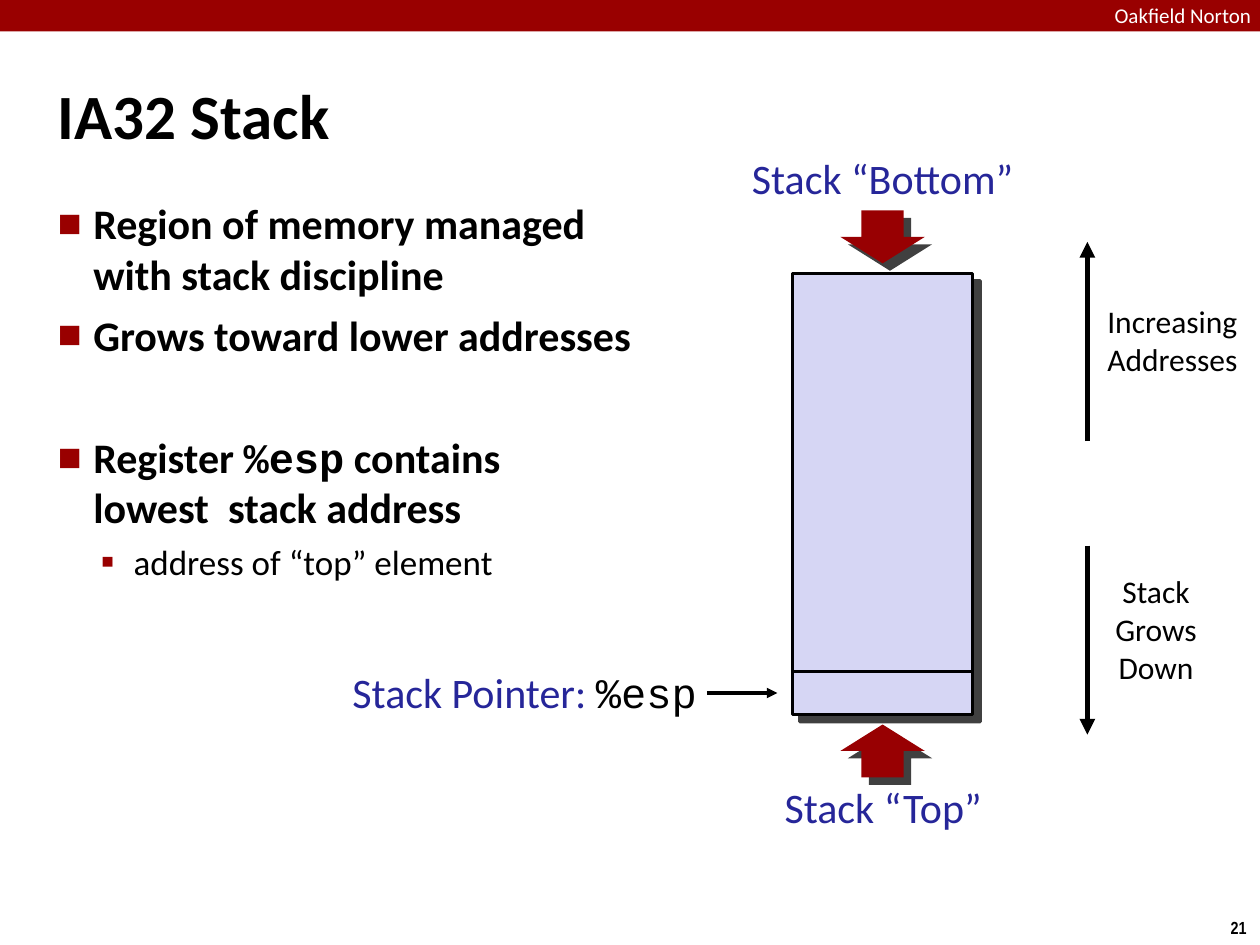
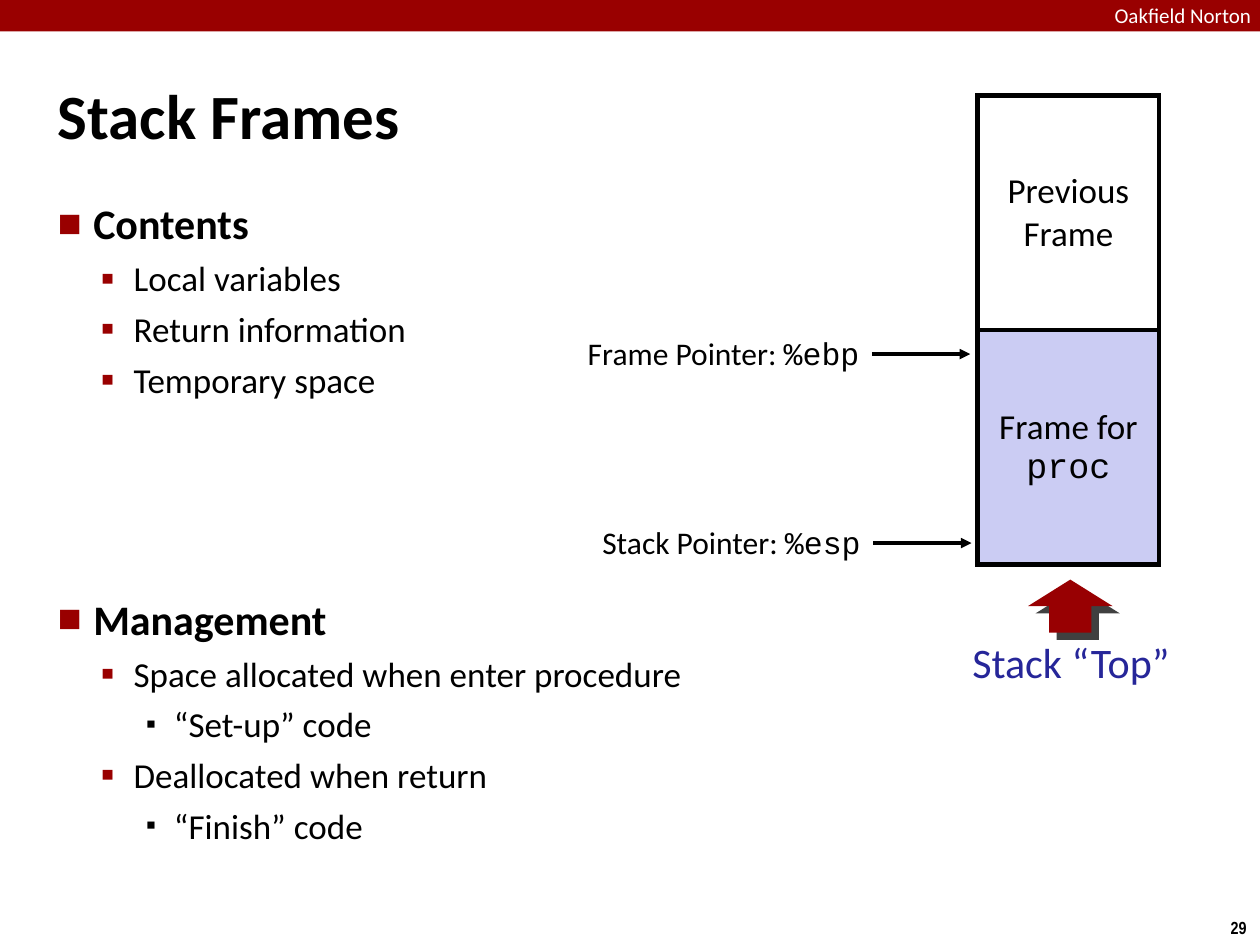
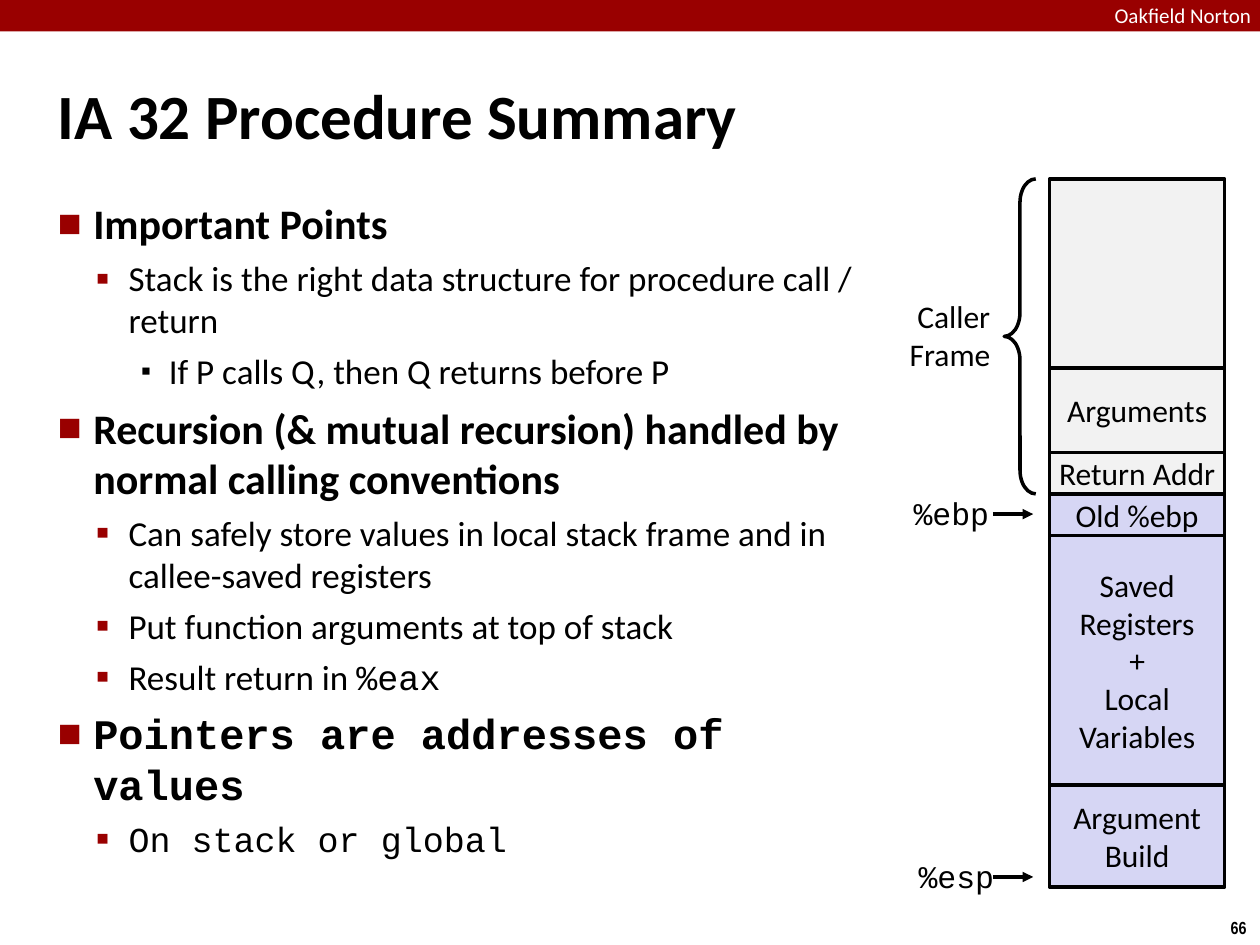
from lxml import etree
from pptx import Presentation
from pptx import util as u
from pptx.dml import color
from pptx.enum import shapes, text
from pptx.oxml import ns

COLORS = {
    "band": "990000", "arrow": "980002", "black": "000000", "white": "FFFFFF",
    "navy": "262699", "lavender": "D6D6F4", "frame": "CBCCF3", "gray": "F2F2F2",
}
FONT, MONO, NARROW = "Calibri", "Courier New", "Arial Narrow"
ALIGN = {"left": text.PP_ALIGN.LEFT, "center": text.PP_ALIGN.CENTER,
         "right": text.PP_ALIGN.RIGHT}
LEVELS = [
    {"left": 0.28, "hang": 0.28, "before": 6, "char": "■", "color": "band", "scale": 60, "size": 24},
    {"left": 0.6, "hang": 0.26, "before": 5, "char": "▪", "color": "band", "scale": 110, "size": 20},
    {"left": 0.92, "hang": 0.22, "before": 5, "char": "▪", "color": "black", "scale": 80, "size": 20},
]


def rgb(name):
    """Return the named colour."""
    return color.RGBColor.from_string(COLORS[name])


def add_xml(parent, tag, **attributes):
    """Append a DrawingML element to a parent and return it."""
    return etree.SubElement(parent, ns.qn(f"a:{tag}"), attributes)


def write_line(paragraph, content, size=18, font=FONT, fill="black", mono_fill=None,
               bold=False, align="left"):
    """Write one paragraph, with backticks around monospaced parts."""
    paragraph.alignment = ALIGN[align]
    for index, part in enumerate(content.split("`")):
        is_mono = index % 2 == 1
        for row, piece in enumerate(part.split("\n")):
            if row:
                paragraph.add_line_break()
            if not piece:
                continue
            run = paragraph.add_run()
            run.text = piece
            run.font.name = MONO if is_mono else font
            run.font.size = u.Pt(size)
            run.font.bold = bold
            run.font.color.rgb = rgb(mono_fill if is_mono and mono_fill else fill)


def write_text(frame, lines, margin=0.04, anchor="TOP", wrap=True, **style):
    """Fill a text frame with paragraphs of one style."""
    frame.word_wrap = wrap
    frame.vertical_anchor = getattr(text.MSO_ANCHOR, anchor)
    frame.margin_left = frame.margin_right = u.Inches(margin)
    frame.margin_top = frame.margin_bottom = u.Inches(margin)
    for index, line in enumerate(lines):
        paragraph = frame.add_paragraph() if index else frame.paragraphs[0]
        write_line(paragraph, line, **style)


def add_text(slide, box, *lines, **style):
    """Add a text box."""
    shape = slide.shapes.add_textbox(*map(u.Inches, box))
    write_text(shape.text_frame, lines, **style)
    return shape


def add_bullets(slide, width, items, shift=0):
    """Add the bulleted body from (level, text[, space before]) items."""
    frame = add_text(slide, (0.42, 1.53, width, 5.72)).text_frame
    for index, (level, content, *before) in enumerate(items):
        look = LEVELS[level]
        paragraph = frame.add_paragraph() if index else frame.paragraphs[0]
        paragraph.level = level
        paragraph.space_before = u.Pt(before[0] if before else look["before"])
        write_line(paragraph, content, size=look["size"], bold=level == 0)
        properties = paragraph._p.get_or_add_pPr()
        left = look["left"] + (shift if level else 0)
        properties.set("marL", str(u.Inches(left)))
        properties.set("indent", str(-u.Inches(look["hang"])))
        add_xml(add_xml(properties, "buClr"), "srgbClr", val=COLORS[look["color"]])
        add_xml(properties, "buSzPct", val=str(look["scale"] * 1000))
        add_xml(properties, "buFont", typeface=FONT)
        add_xml(properties, "buChar", char=look["char"])


def add_shape(slide, kind, box, fill=None, line=None, shadow=False):
    """Add a preset shape with an optional fill, outline and hard shadow."""
    shape = slide.shapes.add_shape(getattr(shapes.MSO_SHAPE, kind), *map(u.Inches, box))
    shape.shadow.inherit = False
    if fill:
        shape.fill.solid()
        shape.fill.fore_color.rgb = rgb(fill)
    else:
        shape.fill.background()
    if line:
        shape.line.color.rgb = rgb("black")
        shape.line.width = u.Pt(line)
    else:
        shape.line.fill.background()
    if shadow:
        effects = shape._element.spPr.find(ns.qn("a:effectLst"))
        outer = add_xml(effects, "outerShdw", blurRad="0", dist=str(u.Pt(6)),
                        dir=str(45 * 60000), algn="ctr", rotWithShape="0")
        add_xml(add_xml(outer, "srgbClr", val=COLORS["black"]), "alpha", val="75000")
    return shape


def add_line(slide, start, end, width=2, arrow=True):
    """Add a straight black line, with an arrowhead at its end if wanted."""
    connector = slide.shapes.add_connector(
        shapes.MSO_CONNECTOR.STRAIGHT, *map(u.Inches, start + end))
    connector.line.color.rgb = rgb("black")
    connector.line.width = u.Pt(width)
    if arrow:
        add_xml(connector.line._get_or_add_ln(), "tailEnd", type="triangle")
    add_xml(connector._element.spPr, "effectLst")


def add_block_arrow(slide, kind, left, top):
    """Add a red block arrow that marks an end of the stack."""
    add_shape(slide, kind, (left, top, 0.67, 0.42), fill="arrow", shadow=True)


def add_frames_table(slide, box, cells):
    """Add a one-column table of (text, fill) cells with black borders."""
    table = slide.shapes.add_table(len(cells), 1, *map(u.Inches, box)).table
    table.first_row = table.horz_banding = False
    for index, (content, fill) in enumerate(cells):
        cell = table.cell(index, 0)
        write_text(cell.text_frame, [content], size=20, align="center")
        cell.vertical_anchor = text.MSO_ANCHOR.MIDDLE
        cell.margin_left = cell.margin_right = u.Inches(0.06)
        cell.margin_top = cell.margin_bottom = u.Inches(0.06)
        properties = cell._tc.get_or_add_tcPr()
        for side in ("lnL", "lnR", "lnT", "lnB"):
            border = add_xml(properties, side, w=str(u.Pt(3)))
            add_xml(add_xml(border, "solidFill"), "srgbClr", val=COLORS["black"])
        cell.fill.solid()
        cell.fill.fore_color.rgb = rgb(fill)


def add_stack(slide, left, top, width, blocks):
    """Stack outlined blocks of (height, fill, lines) downwards."""
    for height, fill, lines in blocks:
        block = add_shape(slide, "RECTANGLE", (left, top, width, height), fill=fill, line=2)
        if lines:
            write_text(block.text_frame, lines, margin=0, anchor="MIDDLE", align="center")
        top += height


def start_slide(presentation, title, number):
    """Add a blank slide with the shared band, title and page number."""
    slide = presentation.slides.add_slide(presentation.slide_layouts[6])
    add_shape(slide, "RECTANGLE", (0, 0, 10, 0.25), fill="band")
    add_text(slide, (8.5, 0.02, 1.43, 0.19), "Oakfield Norton", size=12, fill="white",
             margin=0, align="right")
    add_text(slide, (0.42, 0.28, 9.17, 1.25), title, size=36, bold=True, anchor="MIDDLE")
    add_text(slide, (9.66, 7.23, 0.34, 0.27), str(number), size=10, font=NARROW,
             bold=True, margin=0.05, align="center", wrap=False)
    return slide


def build_stack_slide(presentation):
    """Build the slide on the stack region."""
    slide = start_slide(presentation, "IA32 Stack", 21)
    add_bullets(slide, 4.88, [
        (0, "Region of memory managed with stack discipline"),
        (0, "Grows toward lower addresses"),
        (0, "Register `%esp` contains \nlowest  stack address", 41),
        (1, "address of “top” element"),
    ])
    add_shape(slide, "RECTANGLE", (6.29, 2.17, 1.43, 3.5), fill="lavender", line=2, shadow=True)
    add_line(slide, (6.29, 5.33), (7.72, 5.33), arrow=False)
    add_line(slide, (5.61, 5.5), (6.17, 5.5))
    add_text(slide, (2.69, 5.25, 2.88, 0.5), "Stack Pointer: `%esp`", size=24, fill="navy",
             mono_fill="black", align="right", wrap=False)
    add_line(slide, (8.63, 3.5), (8.63, 1.92), width=3)
    add_text(slide, (8.74, 2.36, 1.13, 0.69), "Increasing", "Addresses",
             align="center", wrap=False)
    add_line(slide, (8.63, 4.33), (8.63, 5.83), width=3)
    add_text(slide, (8.73, 4.5, 0.89, 1), "Stack Grows", "Down", align="center")
    add_text(slide, (5.89, 1.17, 2.23, 0.49), "Stack “Bottom”", size=24, fill="navy",
             align="center", wrap=False)
    add_block_arrow(slide, "DOWN_ARROW", 6.67, 1.67)
    add_block_arrow(slide, "UP_ARROW", 6.67, 5.75)
    add_text(slide, (6.16, 6.16, 1.7, 0.49), "Stack “Top”", size=24, fill="navy",
             align="center", wrap=False)


def build_frames_slide(presentation):
    """Build the slide on stack frames."""
    slide = start_slide(presentation, "Stack Frames", 29)
    add_bullets(slide, 5.08, [
        (0, "Contents"),
        (1, "Local variables"),
        (1, "Return information"),
        (1, "Temporary space"),
        (0, "Management", 110),
        (1, "Space allocated when enter procedure"),
        (2, "“Set-up” code"),
        (1, "Deallocated when return"),
        (2, "“Finish” code"),
    ])
    for label, left, y in (("Frame Pointer: `%ebp`", 6.92, 2.81),
                           ("Stack Pointer: `%esp`", 6.93, 4.31)):
        add_line(slide, (left, y), (left + 0.78, y))
        add_text(slide, (left - 2.73, y - 0.2, 2.67, 0.4), label, align="right")
    add_frames_table(slide, (7.76, 0.76, 1.44, 3.72), [
        ("Previous Frame", "white"), ("Frame for\n`proc`", "frame")])
    add_block_arrow(slide, "UP_ARROW", 8.16, 4.6)
    add_text(slide, (7.65, 5.01, 1.7, 0.49), "Stack “Top”", size=24, fill="navy",
             align="center", wrap=False)


def build_summary_slide(presentation):
    """Build the procedure summary slide."""
    slide = start_slide(presentation, "IA 32 Procedure Summary", 66)
    add_bullets(slide, 6.42, [
        (0, "Important Points"),
        (1, "Stack is the right data structure for procedure call / return"),
        (2, "If P calls Q, then Q returns before P"),
        (0, "Recursion (& mutual recursion) handled by normal calling conventions"),
        (1, "Can safely store values in local stack frame and in callee-saved registers"),
        (1, "Put function arguments at top of stack"),
        (1, "Result return in `%eax`"),
        (0, "`Pointers are addresses of values`"),
        (1, "`On stack or global`"),
    ], shift=-0.04)
    add_stack(slide, 8.33, 1.42, 1.39, [
        (1.5, "gray", []),
        (0.67, "gray", ["Arguments"]),
        (0.33, "gray", ["Return Addr"]),
        (0.33, "lavender", ["Old %ebp"]),
        (1.98, "lavender", ["Saved", "Registers", "+", "Local", "Variables"]),
        (0.81, "lavender", ["Argument", "Build"]),
    ])
    add_text(slide, (7.15, 2.32, 0.75, 0.69), "Caller", "Frame", align="right", wrap=False)
    brace = add_shape(slide, "LEFT_BRACE", (7.97, 1.42, 0.25, 2.5), line=2)
    brace.adjustments[0] = 0.75
    for register, right, y in (("`%ebp`", 7.89, 4.08), ("`%esp`", 7.93, 6.96)):
        add_line(slide, (7.88, y), (8.2, y))
        add_text(slide, (right - 1.7, y - 0.2, 1.7, 0.36), register, align="right")


def main():
    """Build and save the presentation."""
    presentation = Presentation()
    presentation.slide_width, presentation.slide_height = u.Inches(10), u.Inches(7.5)
    build_stack_slide(presentation)
    build_frames_slide(presentation)
    build_summary_slide(presentation)
    presentation.save("out.pptx")


if __name__ == "__main__":
    main()
